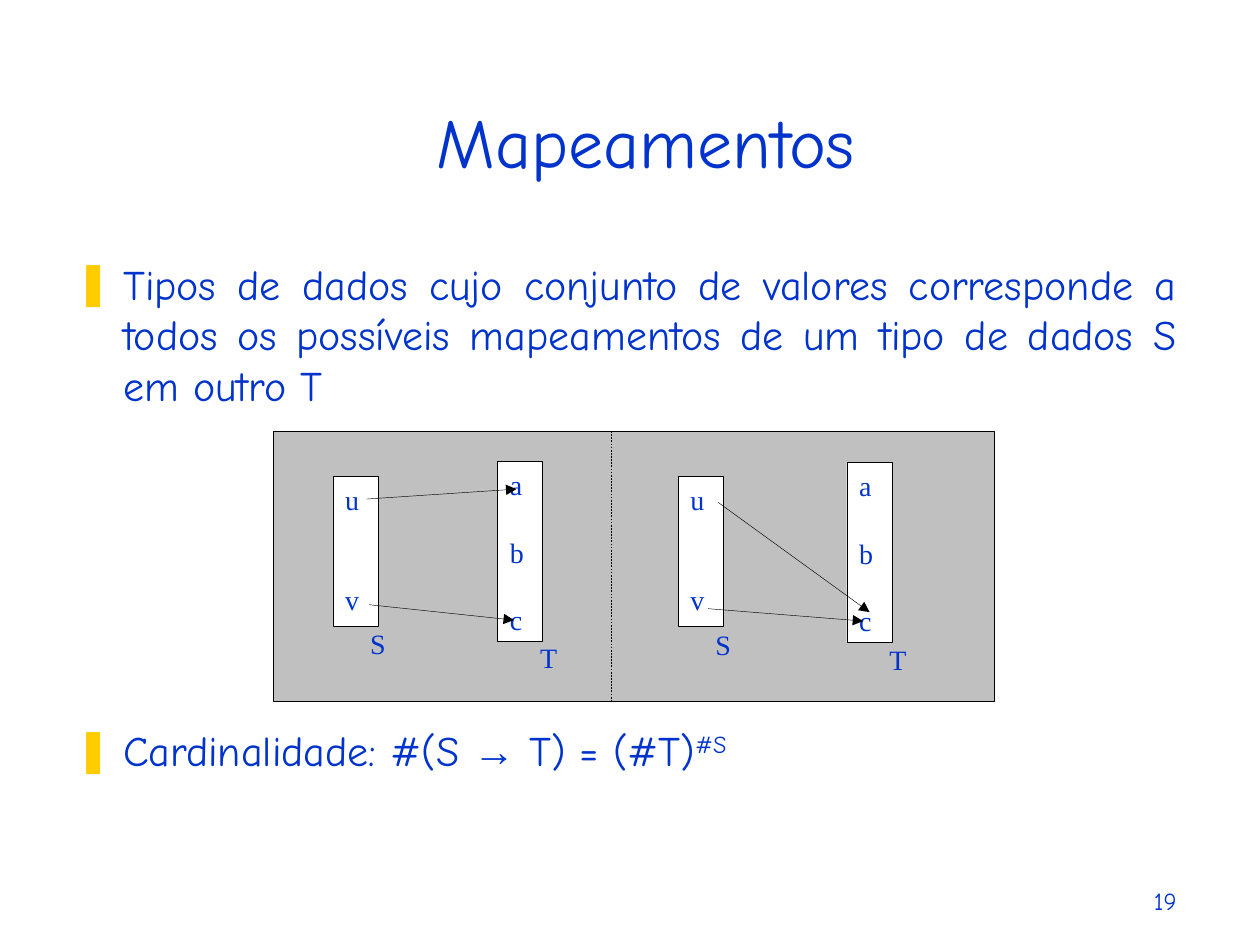
"""Build the slide on mappings between data types S and T."""
from lxml import etree
from pptx import Presentation
from pptx import util as u
from pptx.dml.color import RGBColor
from pptx.enum import dml, shapes, text
from pptx.oxml.ns import qn

COLORS = {"text": "0033CC", "bullet": "FFCC00", "panel": "C0C0C0", "box": "FFFFFF", "line": "000000"}
HAND, SERIF = "Comic Neue", "Times New Roman"


def style(p, size, font, align=text.PP_ALIGN.LEFT, before=0):
    p.alignment = align
    p.space_before = u.Pt(before)
    for r in p.runs:
        r.font.size = u.Pt(size)
        r.font.name = font
        r.font.color.rgb = RGBColor.from_string(COLORS["text"])


def add_rect(group, x, y, w, h, fill):
    sp = group.shapes.add_shape(shapes.MSO_SHAPE.RECTANGLE, u.Cm(x), u.Cm(y), u.Cm(w), u.Cm(h))
    sp.shadow.inherit = False
    sp.fill.solid()
    sp.fill.fore_color.rgb = RGBColor.from_string(COLORS[fill])
    sp.line.color.rgb = RGBColor.from_string(COLORS["line"])
    sp.line.width = u.Pt(0.25)
    return sp


prs = Presentation()
prs.slide_width, prs.slide_height = u.Cm(25.4), u.Cm(19.05)
s = prs.slides.add_slide(prs.slide_layouts[1])

title, body = s.shapes.title, s.placeholders[1]
for sp, x, y, w, h in [(title, 0.64, 1.07, 24.76, 2.74), (body, 1.27, 5.08, 22.7, 11.58)]:
    sp.left, sp.top, sp.width, sp.height = u.Cm(x), u.Cm(y), u.Cm(w), u.Cm(h)
    sp.text_frame.auto_size = text.MSO_AUTO_SIZE.NONE
title.text_frame.text = "Mapeamentos"
title.text_frame.vertical_anchor = text.MSO_ANCHOR.BOTTOM
style(title.text_frame.paragraphs[0], 40, HAND, text.PP_ALIGN.CENTER)

tf = body.text_frame
tf.text = ("Tipos de dados cujo conjunto de valores corresponde a todos os possíveis "
           "mapeamentos de um tipo de dados S em outro T")
p = tf.add_paragraph()
for part in ["Cardinalidade: #(S ", "→", " T) = (#T)", "#S"]:
    p.add_run().text = part
for p, before in zip(tf.paragraphs, [6, 180]):
    style(p, 24, HAND, text.PP_ALIGN.JUSTIFY, before)
    pPr = p._p.get_or_add_pPr()
    pPr.set("marL", str(u.Cm(0.96)))
    pPr.set("indent", str(-u.Cm(0.96)))
    color = etree.SubElement(pPr, qn("a:buClr"))
    etree.SubElement(color, qn("a:srgbClr")).set("val", COLORS["bullet"])
    etree.SubElement(pPr, qn("a:buChar")).set("char", "❚")
p.runs[1].font.name = "Arial"
p.runs[3].font._element.set("baseline", "30000")

diagram = s.shapes.add_group_shape()
add_rect(diagram, 5.51, 8.69, 14.53, 5.44, "panel")

sets = [
    (6.71, 9.6, 3.02, "uv", 38),
    (10.03, 9.3, 3.63, "abc", 19.5),
    (13.67, 9.6, 3.02, "uv", 38),
    (17.07, 9.32, 3.63, "abc", 19.5),
]
for x, y, h, letters, gap in sets:
    tf = add_rect(diagram, x, y, 0.91, h, "box").text_frame
    tf.vertical_anchor = text.MSO_ANCHOR.TOP
    tf.text = "\n".join(letters)
    for i, p in enumerate(tf.paragraphs):
        style(p, 16, SERIF, before=gap if i else 0)

lines = [
    (12.32, 8.69, 12.32, 14.12),
    (7.39, 10.06, 10.41, 9.86),
    (7.44, 12.19, 10.36, 12.5),
    (14.48, 10.13, 17.53, 12.34),
    (14.27, 12.27, 17.4, 12.52),
]
for i, ends in enumerate(lines):
    c = diagram.shapes.add_connector(shapes.MSO_CONNECTOR.STRAIGHT, *map(u.Cm, ends))
    c.line.color.rgb = RGBColor.from_string(COLORS["line"])
    c.line.width = u.Pt(0.25)
    if i == 0:
        c.line.dash_style = dml.MSO_LINE.DASH
    else:
        etree.SubElement(c.line._get_or_add_ln(), qn("a:tailEnd")).set("type", "triangle")
    etree.SubElement(c._element.spPr, qn("a:effectLst"))

for name, x, y in [("S", 7.21, 12.5), ("T", 10.64, 12.78), ("S", 14.17, 12.52), ("T", 17.68, 12.83)]:
    tf = diagram.shapes.add_textbox(u.Cm(x), u.Cm(y), u.Cm(1.09), u.Cm(1.04)).text_frame
    tf.word_wrap = True
    tf.text = name
    style(tf.paragraphs[0], 16, SERIF)

tf = s.shapes.add_textbox(u.Cm(18.69), u.Cm(17.3), u.Cm(5.28), u.Cm(1.27)).text_frame
tf.word_wrap = True
tf.vertical_anchor = text.MSO_ANCHOR.BOTTOM
tf.text = "19"
style(tf.paragraphs[0], 14, HAND, text.PP_ALIGN.RIGHT)

prs.save("out.pptx")
